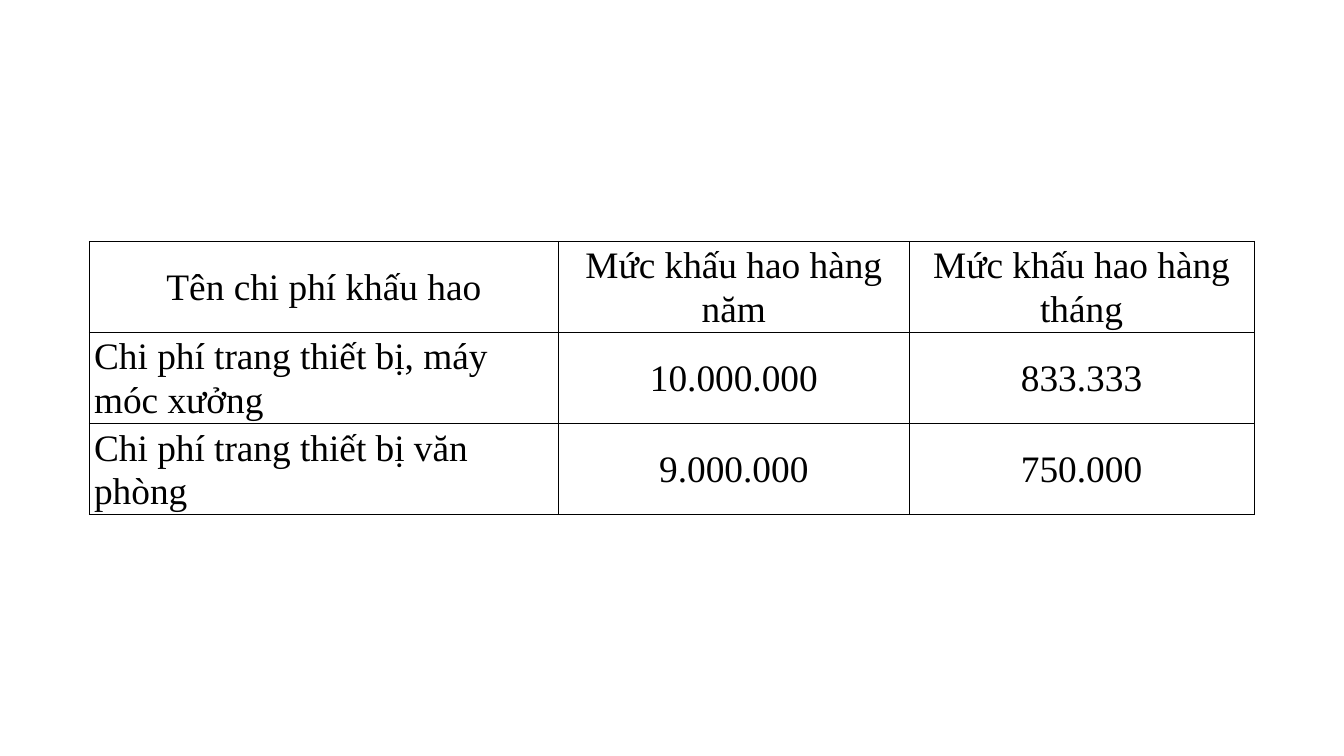
from pptx import Presentation
from pptx.dml.color import RGBColor
from pptx.enum.text import MSO_ANCHOR, PP_ALIGN
from pptx.oxml import parse_xml
from pptx.oxml.ns import nsdecls
from pptx.util import Inches, Pt

# Content
ROWS = [
    ("Tên chi phí khấu hao", "Mức khấu hao hàng năm", "Mức khấu hao hàng tháng"),
    ("Chi phí trang thiết bị, máy móc xưởng", "10.000.000", "833.333"),
    ("Chi phí trang thiết bị văn phòng", "9.000.000", "750.000"),
]

# Layout in inches
SLIDE_WIDTH, SLIDE_HEIGHT = 20, 11.25
TABLE_LEFT, TABLE_TOP, TABLE_HEIGHT = 1.33, 3.59, 4.07
COLUMN_WIDTHS = (6.98, 5.22, 5.13)
SIDE_MARGIN = 0.07

FONT = "Times New Roman"
INK = "000000"


def color(value):
    return RGBColor.from_string(value)


def add_borders(cell):
    properties = cell._tc.get_or_add_tcPr()
    for position, side in enumerate(("lnL", "lnR", "lnT", "lnB")):
        border = parse_xml(
            f'<a:{side} {nsdecls("a")} w="{Pt(1)}"><a:solidFill>'
            f'<a:srgbClr val="{INK}"/></a:solidFill></a:{side}>'
        )
        properties.insert(position, border)


def fill_cell(cell, text, alignment):
    cell.fill.background()
    add_borders(cell)
    cell.vertical_anchor = MSO_ANCHOR.MIDDLE
    cell.margin_left = cell.margin_right = Inches(SIDE_MARGIN)
    cell.margin_top = cell.margin_bottom = 0
    para = cell.text_frame.paragraphs[0]
    para.alignment = alignment
    para.line_spacing = 1.05
    para.space_after = Pt(8)
    span = para.add_run()
    span.text = text
    span.font.name = FONT
    span.font.size = Pt(40)
    span.font.bold = False
    span.font.color.rgb = color(INK)


def main():
    deck = Presentation()
    deck.slide_width, deck.slide_height = Inches(SLIDE_WIDTH), Inches(SLIDE_HEIGHT)
    page = deck.slides.add_slide(deck.slide_layouts[6])

    # Depreciation table
    table = page.shapes.add_table(
        len(ROWS), len(COLUMN_WIDTHS),
        Inches(TABLE_LEFT), Inches(TABLE_TOP),
        Inches(sum(COLUMN_WIDTHS)), Inches(TABLE_HEIGHT),
    ).table
    table.first_row = table.horz_banding = False
    for column, width in zip(table.columns, COLUMN_WIDTHS):
        column.width = Inches(width)

    # Cost names are left-aligned; headings and amounts are centred
    for row, texts in enumerate(ROWS):
        for column, text in enumerate(texts):
            is_cost_name = row > 0 and column == 0
            alignment = PP_ALIGN.LEFT if is_cost_name else PP_ALIGN.CENTER
            fill_cell(table.cell(row, column), text, alignment)

    deck.save("out.pptx")


if __name__ == "__main__":
    main()
